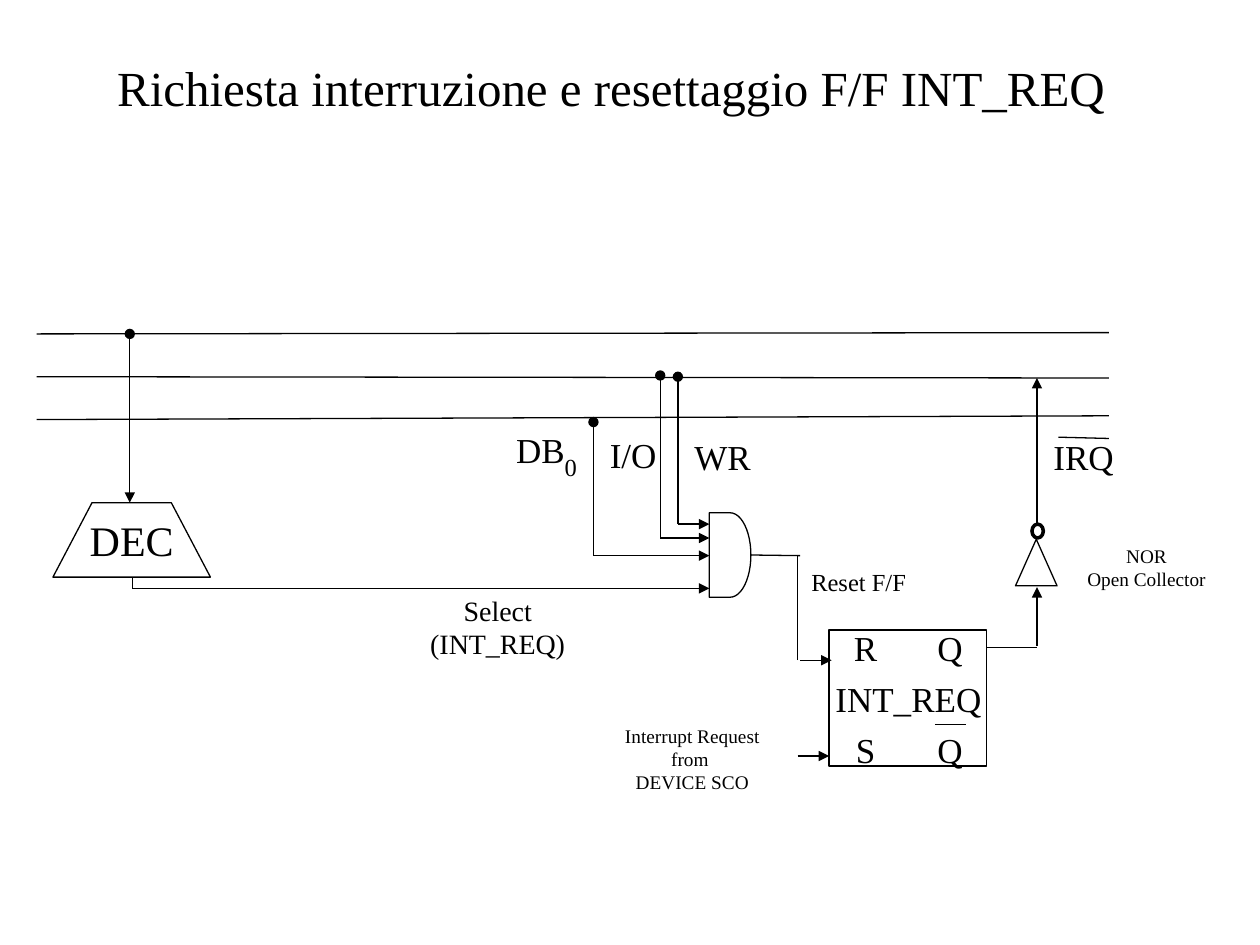
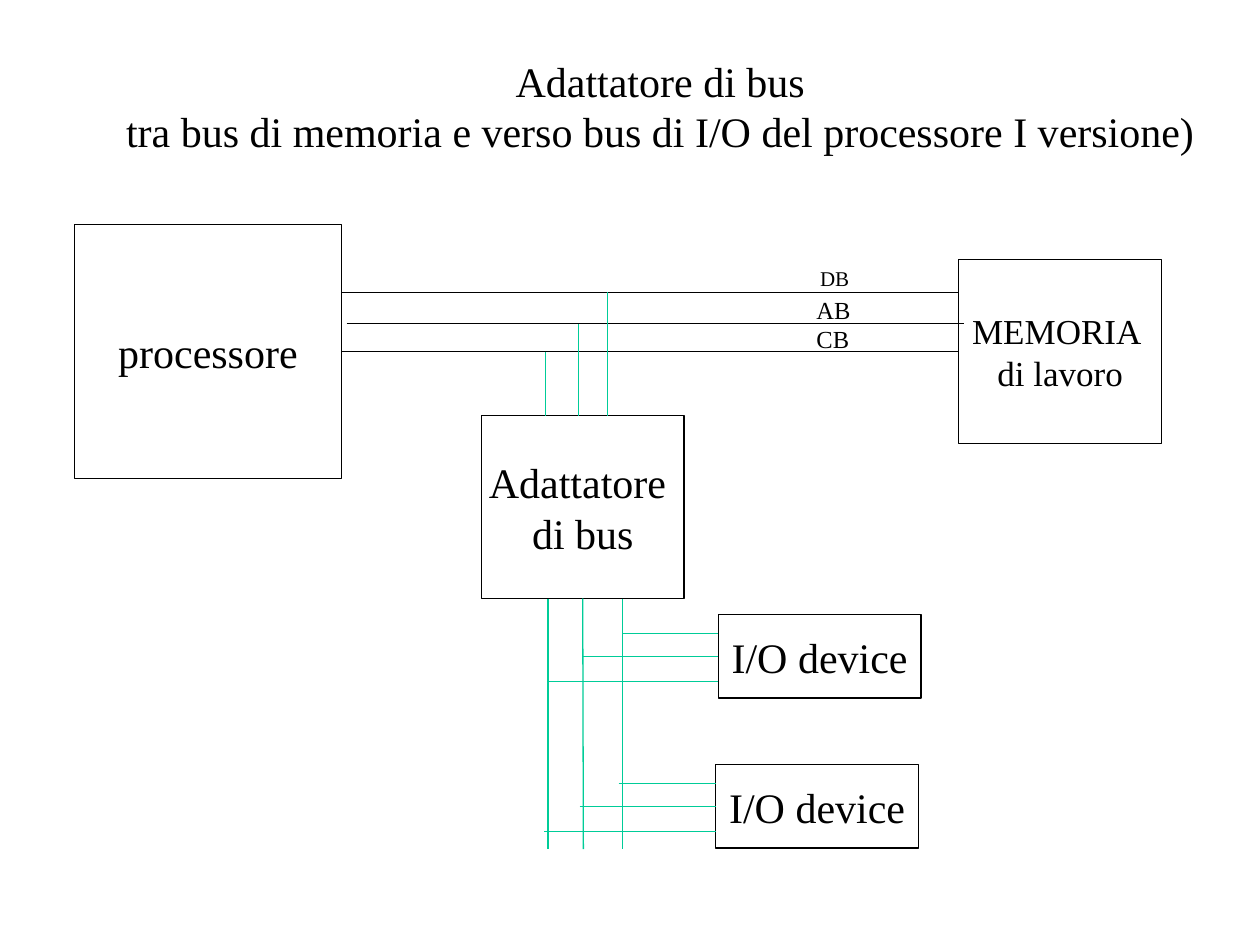
from typing import NamedTuple, Optional

from lxml.etree import SubElement
from pptx import Presentation
from pptx.dml.color import RGBColor
from pptx.enum.shapes import MSO_CONNECTOR as Link, MSO_SHAPE as Preset
from pptx.enum.text import MSO_ANCHOR as Anchor, MSO_AUTO_SIZE as AutoSize, PP_ALIGN as Align
from pptx.oxml.ns import qn
from pptx.util import Inches, Pt

FONT = "Times New Roman"
BLACK, WHITE, GREEN = "000000", "FFFFFF", "00CC98"
TOP, LEFT, BOTTOM, RIGHT = range(4)
FRAME_FORMAT = {
    "auto_size": AutoSize.NONE,
    "margin_left": Inches(0.1),
    "margin_right": Inches(0.1),
    "margin_top": Inches(0.05),
    "margin_bottom": Inches(0.05),
}


class Box(NamedTuple):
    left: float
    top: float
    width: float
    height: float

    def lengths(self) -> list:
        return [Inches(value) for value in self]


class Label(NamedTuple):
    text: str
    box: Box
    size: float
    wrap: bool = False


class Block(NamedTuple):
    preset: int
    box: Box
    text: str = ""
    size: float = 24
    fill: Optional[str] = None
    weight: float = 0.75


class Wire(NamedTuple):
    x1: float
    y1: float
    x2: float
    y2: float
    head: str = ""
    tail: str = ""
    color: str = BLACK


def rgb(color: str) -> RGBColor:
    return RGBColor.from_string(color)


def write(shape, text: str, size: float, wrap=False, anchor=Anchor.TOP) -> None:
    frame = shape.text_frame
    values = {**FRAME_FORMAT, "word_wrap": wrap, "vertical_anchor": anchor}
    for name, value in values.items():
        setattr(frame, name, value)
    frame.text = text
    for paragraph in frame.paragraphs:
        paragraph.alignment = Align.CENTER
        for run in paragraph.runs:
            run.font.color.rgb = rgb(BLACK)
            for name, value in {"name": FONT, "size": Pt(size)}.items():
                setattr(run.font, name, value)


def outline(shape, fill: Optional[str] = None, weight: float = 0.75) -> None:
    shape.shadow.inherit = False
    shape.line.color.rgb = rgb(BLACK)
    shape.line.width = Pt(weight)
    if fill:
        shape.fill.solid()
        shape.fill.fore_color.rgb = rgb(fill)
    else:
        shape.fill.background()


def add_title_slide(deck, title: str, box: Box, size: float):
    slide = deck.slides.add_slide(deck.slide_layouts[5])
    heading = slide.shapes.title
    heading.left, heading.top, heading.width, heading.height = box.lengths()
    write(heading, title, size, wrap=True)
    return slide


def add_label(slide, label: Label) -> None:
    write(slide.shapes.add_textbox(*label.box.lengths()), label.text, label.size, label.wrap)


def add_block(slide, block: Block):
    shape = slide.shapes.add_shape(block.preset, *block.box.lengths())
    outline(shape, block.fill, block.weight)
    if block.text:
        write(shape, block.text, block.size, anchor=Anchor.MIDDLE)
    return shape


def add_wire(slide, wire: Wire, begin=None, end=None) -> None:
    """Draw a wire; begin and end are optional (shape, side) joints."""
    ends = [Inches(value) for value in wire[:4]]
    connector = slide.shapes.add_connector(Link.STRAIGHT, *ends)
    connector.line.color.rgb = rgb(wire.color)
    connector.line.width = Pt(0.75)
    line_xml = connector.line._get_or_add_ln()
    for tag, kind in (("a:headEnd", wire.head), ("a:tailEnd", wire.tail)):
        if kind:
            SubElement(line_xml, qn(tag), type=kind)
    SubElement(connector._element.spPr, qn("a:effectLst"))
    if begin:
        connector.begin_connect(*begin)
    if end:
        connector.end_connect(*end)


def interrupt_slide(deck) -> None:
    slide = add_title_slide(deck, "Richiesta interruzione e resettaggio F/F INT_REQ",
                            Box(0.6, 0.41, 8.5, 0.6), 28)

    # Decoder, outlined clockwise from its bottom left corner
    builder = slide.shapes.build_freeform(Inches(0.42), Inches(4.58), scale=1.0)
    corners = ((0.73, 3.99), (1.36, 3.99), (1.67, 4.58))
    builder.add_line_segments([(Inches(x), Inches(y)) for x, y in corners], close=True)
    decoder = builder.convert_to_shape()
    outline(decoder)
    write(decoder, "DEC", 24, anchor=Anchor.MIDDLE)

    # AND gate, flip-flop and open collector driver
    and_gate = add_block(slide, Block(Preset.FLOWCHART_DELAY, Box(5.63, 4.07, 0.33, 0.67)))
    add_block(slide, Block(Preset.RECTANGLE, Box(6.58, 5, 1.25, 1.08)))
    add_block(slide, Block(Preset.ISOSCELES_TRIANGLE, Box(8.06, 4.28, 0.33, 0.37)))

    # Wires
    add_wire(slide, Wire(5.96, 4.41, 6.35, 4.41), begin=(and_gate, RIGHT))
    wires = [
        # Bus
        Wire(0.29, 2.65, 8.8, 2.64),
        Wire(0.29, 2.99, 8.8, 3),
        Wire(0.29, 3.33, 8.8, 3.3),
        # Decoder input and select
        Wire(1.03, 2.65, 1.03, 3.99, "oval", "triangle"),
        Wire(1.05, 4.58, 1.05, 4.67),
        Wire(1.05, 4.67, 5.63, 4.67, tail="triangle"),
        # Reset and set
        Wire(6.33, 5.24, 6.33, 4.41),
        Wire(6.35, 5.24, 6.6, 5.24, tail="triangle"),
        Wire(6.33, 6, 6.58, 6, tail="triangle"),
        # Interrupt request output
        Wire(7.83, 5.14, 8.23, 5.14),
        Wire(8.23, 5.13, 8.23, 4.66, tail="triangle"),
        Wire(8.23, 4.16, 8.23, 3, tail="triangle"),
        # Negation bars
        Wire(7.42, 5.75, 7.67, 5.75),
        Wire(8.4, 3.47, 8.8, 3.48),
    ]
    # Bus taps into the gate
    for x, bus_y, gate_y in ((5.38, 2.99, 4.16), (5.24, 2.98, 4.27), (4.71, 3.35, 4.41)):
        wires += [Wire(x, gate_y, x, bus_y, tail="oval"),
                  Wire(x, gate_y, 5.63, gate_y, tail="triangle")]
    for wire in wires:
        add_wire(slide, wire)
    add_block(slide, Block(Preset.OVAL, Box(8.19, 4.16, 0.09, 0.11), fill=WHITE, weight=2))

    # Labels
    labels = [
        Label("Reset F/F", Box(6.34, 4.45, 0.95, 0.34), 14),
        Label("INT_REQ", Box(6.53, 5.33, 1.36, 0.44), 20),
        Label("Interrupt Request\nfrom \nDEVICE SCO", Box(4.86, 5.7, 1.27, 0.65), 11),
        Label("Select (INT_REQ)", Box(3.19, 4.66, 1.52, 0.64), 16, wrap=True),
        Label("NOR\nOpen Collector", Box(8.53, 4.27, 1.14, 0.47), 11),
        Label("IRQ", Box(8.26, 3.41, 0.68, 0.44), 20),
        Label("WR", Box(5.41, 3.41, 0.65, 0.44), 20),
        Label("I/O", Box(4.74, 3.39, 0.57, 0.44), 20),
        Label("DB", Box(4, 3.35, 0.58, 0.44), 20),
        Label("0", Box(4.38, 3.54, 0.3, 0.34), 14),
    ]
    for top, pins in ((4.92, "RQ"), (5.73, "SQ")):
        labels += [Label(pin, Box(left, top, 0.44, 0.44), 20)
                   for pin, left in zip(pins, (6.65, 7.32))]
    for label in labels:
        add_label(slide, label)


def adapter_slide(deck) -> None:
    title = ("Adattatore di bus\n"
             "tra bus di memoria e verso bus di I/O del processore I versione)")
    slide = add_title_slide(deck, title, Box(0.83, 0.39, 8.82, 0.9), 24)

    # Processor, memory and adapter
    processor = add_block(slide, Block(Preset.RECTANGLE, Box(0.59, 1.78, 2.12, 2.02),
                                       "processore"))
    memory = add_block(slide, Block(Preset.RECTANGLE, Box(7.61, 2.06, 1.61, 1.46),
                                    "MEMORIA \ndi lavoro", 20))
    adapter = add_block(slide, Block(Preset.RECTANGLE, Box(3.82, 3.3, 1.61, 1.45),
                                     "Adattatore \ndi bus"))

    # Memory bus and its taps down to the adapter
    add_wire(slide, Wire(2.71, 2.32, 7.61, 2.32))
    add_wire(slide, Wire(2.75, 2.57, 7.65, 2.57))
    add_wire(slide, Wire(2.71, 2.79, 7.61, 2.79), (processor, RIGHT), (memory, LEFT))
    for x, bus_y in ((4.33, 2.79), (4.59, 2.57), (4.82, 2.32)):
        add_wire(slide, Wire(x, bus_y, x, 3.3, color=GREEN))

    # I/O bus
    rails = (4.94, 4.63, 4.35)
    for position, x in enumerate(rails):
        joint = (adapter, BOTTOM) if position == 1 else None
        add_wire(slide, Wire(x, 4.75, x, 6.74, color=GREEN), begin=joint)

    # Devices, each with three branches from the I/O bus
    for left, top, shift in ((5.7, 4.88, 0), (5.68, 6.07, -0.03)):
        device = add_block(slide, Block(Preset.RECTANGLE, Box(left, top, 1.61, 0.66),
                                        "I/O device"))
        for position, (x, drop) in enumerate(zip(rails, (0.15, 0.33, 0.53))):
            joint = (device, LEFT) if position == 1 else None
            branch = Wire(x + shift, top + drop, left, top + drop, color=GREEN)
            add_wire(slide, branch, end=joint)

    # Bus names
    for label in (Label("DB", Box(6.41, 2.06, 0.43, 0.3), 12),
                  Label("AB", Box(6.38, 2.29, 0.47, 0.34), 14),
                  Label("CB", Box(6.27, 2.52, 0.68, 0.34), 14)):
        add_label(slide, label)


def main() -> None:
    deck = Presentation()
    deck.slide_width, deck.slide_height = Inches(10), Inches(7.5)
    interrupt_slide(deck)
    adapter_slide(deck)
    deck.save("out.pptx")


if __name__ == "__main__":
    main()
